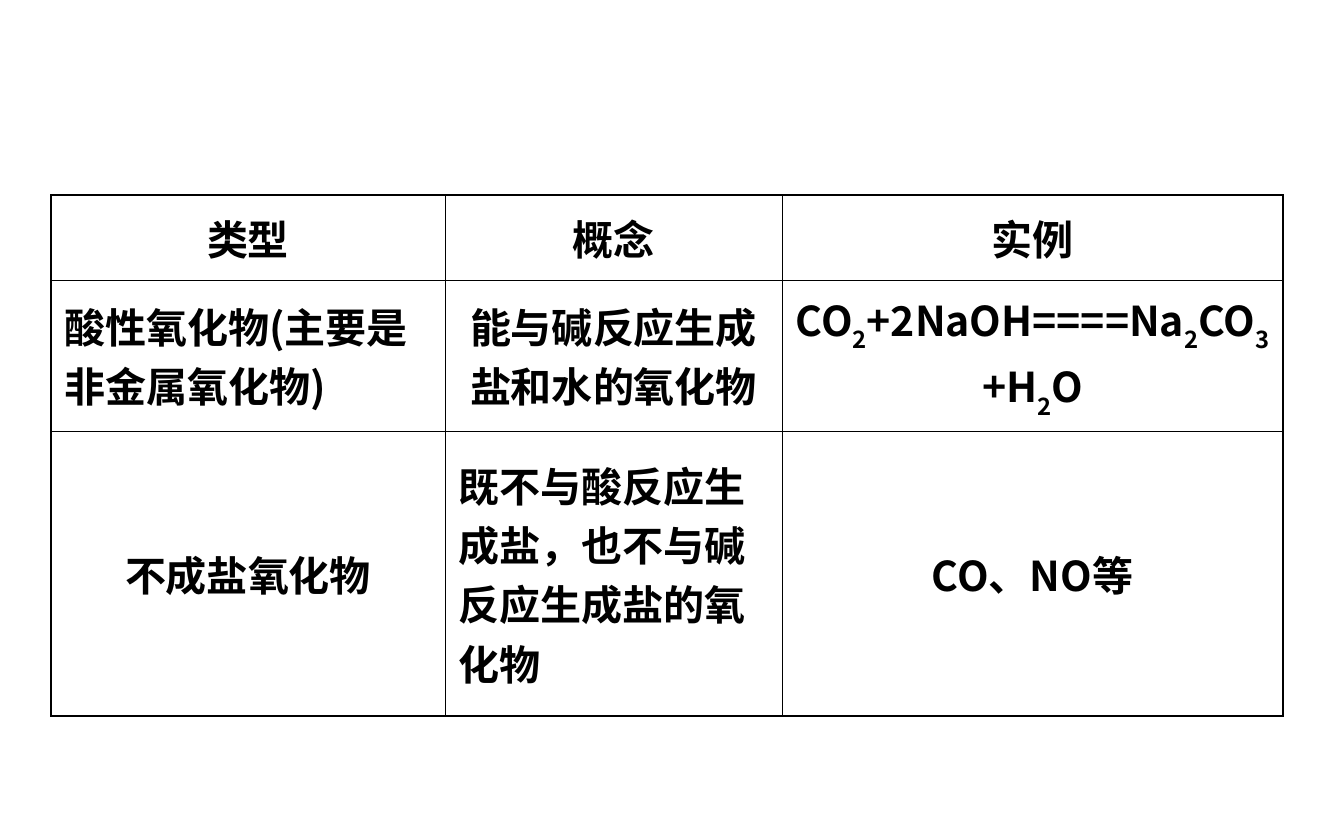
from lxml import etree
from pptx import Presentation, util as u
from pptx.dml.color import RGBColor
from pptx.enum import text
from pptx.oxml import ns

PX = 914400 / 134.4
BLACK = RGBColor(0, 0, 0)
FONT = "Noto Sans CJK SC"
FONT_FORMAT = {"name": FONT, "size": u.Pt(22), "bold": True}
OUTER_LINE, INNER_LINE = u.Pt(0.75), u.Pt(0.45)

COLUMN_WIDTHS = [394, 337, 501]
ROW_HEIGHTS = [85, 151, 285]
# An underscore lowers the character that follows it.
OXIDES = [
    ["类型", "概念", "实例"],
    ["酸性氧化物(主要是非金属氧化物)", "能与碱反应生成盐和水的氧化物",
     "CO_2+2NaOH====Na_2CO_3+H_2O"],
    ["不成盐氧化物", "既不与酸反应生成盐，也不与碱反应生成盐的氧化物", "CO、NO等"],
]
LEFT_ALIGNED = {(1, 0), (2, 1)}


def px(length):
    return u.Emu(round(length * PX))


def add_run(paragraph, wording, lowered=False):
    run = paragraph.add_run()
    run.text = wording
    for attribute, value in FONT_FORMAT.items():
        setattr(run.font, attribute, value)
    run.font.color.rgb = BLACK
    properties = run.font._element
    properties.set("lang", "zh-CN")
    if lowered:
        properties.set("baseline", "-30000")
    etree.SubElement(properties, ns.qn("a:ea"), typeface=FONT)


def add_formula(paragraph, formula):
    """Write the text with each character after an underscore as a subscript."""
    first, *others = formula.split("_")
    add_run(paragraph, first)
    for part in others:
        add_run(paragraph, part[0], lowered=True)
        if part[1:]:
            add_run(paragraph, part[1:])


def set_borders(cell, widths):
    """Draw solid borders; widths maps L, R, T, B, in that order, to EMU."""
    properties = cell._tc.get_or_add_tcPr()
    for index, (side, width) in enumerate(widths.items()):
        line = etree.Element(ns.qn(f"a:ln{side}"), w=str(int(width)))
        fill = etree.SubElement(line, ns.qn("a:solidFill"))
        etree.SubElement(fill, ns.qn("a:srgbClr"), val=str(BLACK))
        properties.insert(index, line)


def add_oxide_table(slide, left, top):
    row_count, column_count = len(ROW_HEIGHTS), len(COLUMN_WIDTHS)
    table = slide.shapes.add_table(
        row_count, column_count, px(left), px(top),
        px(sum(COLUMN_WIDTHS)), px(sum(ROW_HEIGHTS))).table
    table.first_row = table.horz_banding = False
    for column, width in zip(table.columns, COLUMN_WIDTHS):
        column.width = px(width)
    for row, height in zip(table.rows, ROW_HEIGHTS):
        row.height = px(height)

    for r, entries in enumerate(OXIDES):
        for c, entry in enumerate(entries):
            cell = table.cell(r, c)
            cell.fill.background()
            cell.vertical_anchor = text.MSO_ANCHOR.MIDDLE
            on_edge = {"L": c == 0, "R": c == column_count - 1,
                       "T": r == 0, "B": r == row_count - 1}
            set_borders(cell, {side: OUTER_LINE if outer else INNER_LINE
                               for side, outer in on_edge.items()})
            paragraph = cell.text_frame.paragraphs[0]
            paragraph.alignment = (text.PP_ALIGN.LEFT if (r, c) in LEFT_ALIGNED
                                   else text.PP_ALIGN.CENTER)
            add_formula(paragraph, entry)


def main():
    deck = Presentation()
    deck.slide_width, deck.slide_height = px(1344), px(840)
    slide = deck.slides.add_slide(deck.slide_layouts[6])
    add_oxide_table(slide, left=51, top=195)
    deck.save("out.pptx")


if __name__ == "__main__":
    main()
